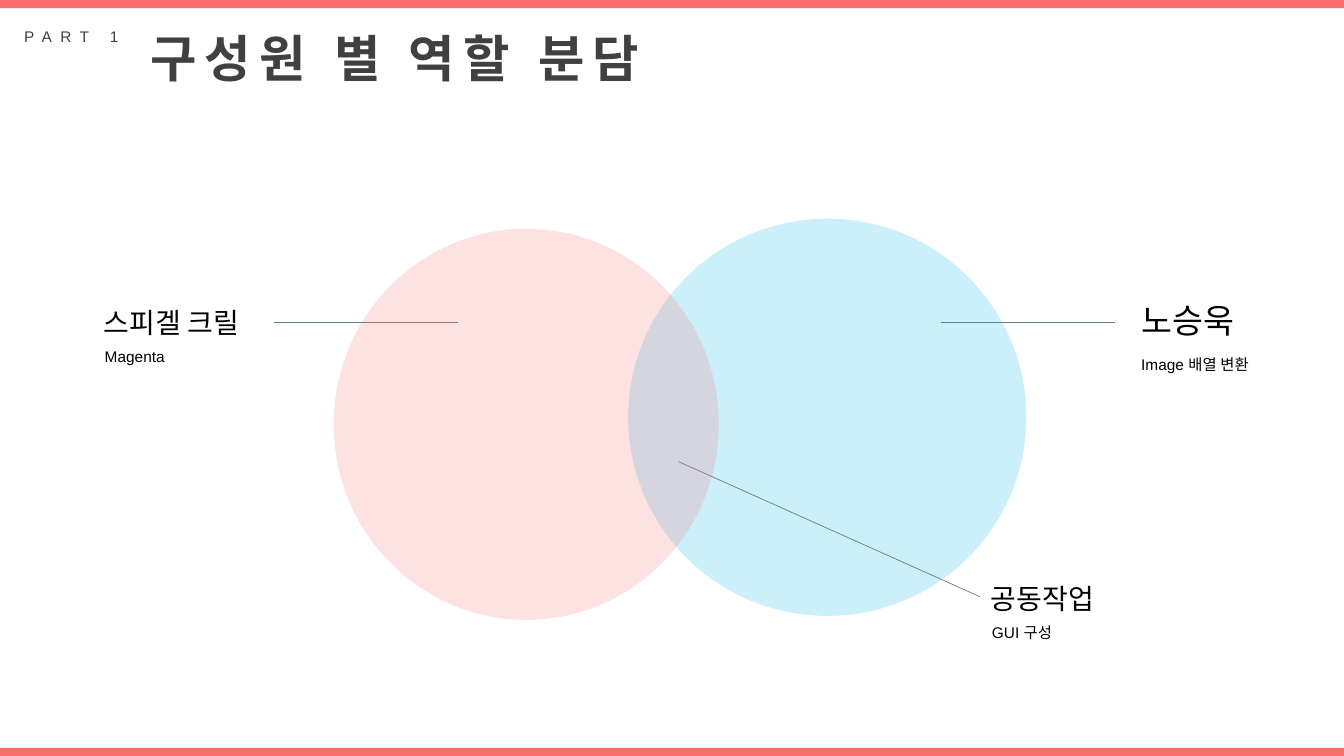
"""Build the slide that shows how the work is divided between the members."""
from dataclasses import dataclass

from lxml.etree import SubElement
from pptx import Presentation
from pptx.dml.color import RGBColor
from pptx.enum.shapes import MSO_CONNECTOR, MSO_SHAPE
from pptx.enum.text import MSO_ANCHOR, MSO_AUTO_SIZE, PP_ALIGN
from pptx.oxml.ns import qn
from pptx.shapes.autoshape import Shape
from pptx.slide import Slide
from pptx.util import Inches, Pt


@dataclass(frozen=True)
class Theme:
    font: str = "Arial"
    coral: RGBColor = RGBColor(0xF8, 0x6F, 0x6C)
    sky: RGBColor = RGBColor(0x00, 0xB0, 0xF0)
    heading: RGBColor = RGBColor(0x40, 0x40, 0x40)
    text: RGBColor = RGBColor(0x00, 0x00, 0x00)
    leader: RGBColor = RGBColor(0x68, 0x80, 0x84)
    title_size: int = 36
    name_size: int = 20
    large_name_size: int = 24
    small_size: int = 11
    spacing: int = 6
    leader_width: float = 0.5
    circle_alpha: int = 20


@dataclass(frozen=True)
class Box:
    left: float
    top: float
    width: float
    height: float

    def emu(self) -> tuple[int, int, int, int]:
        return (Inches(self.left), Inches(self.top),
                Inches(self.width), Inches(self.height))


@dataclass(frozen=True)
class Circle:
    box: Box
    color: RGBColor


@dataclass(frozen=True)
class Role:
    name: str
    task: str
    name_box: Box
    task_box: Box
    name_size: int
    leader: tuple[float, float, float, float]


THEME = Theme()
WIDTH, HEIGHT, BAR = 13.33, 7.5, 0.08

SKY_CIRCLE = Circle(Box(6.23, 2.17, 3.95, 3.94), THEME.sky)
CORAL_CIRCLE = Circle(Box(3.31, 2.27, 3.82, 3.88), THEME.coral)
ROLES = [
    Role("노승욱", "Image 배열 변환", Box(11.22, 2.93, 1.21, 0.5),
         Box(11.22, 3.47, 2.58, 0.29), THEME.large_name_size,
         (9.33, 3.2, 11.06, 3.2)),
    Role("스피겔 크릴", "Magenta", Box(0.93, 2.98, 1.68, 0.44),
         Box(0.94, 3.39, 2.13, 0.29), THEME.name_size,
         (2.72, 3.2, 4.54, 3.2)),
    Role("공동작업", "GUI 구성", Box(9.73, 5.72, 1.32, 0.44),
         Box(9.74, 6.13, 2.13, 0.29), THEME.name_size,
         (9.72, 5.92, 6.73, 4.58)),
]


def add_filled(s: Slide, kind: MSO_SHAPE, box: Box, color: RGBColor) -> Shape:
    sp = s.shapes.add_shape(kind, *box.emu())
    sp.shadow.inherit = False
    sp.fill.solid()
    sp.fill.fore_color.rgb = color
    sp.line.fill.background()
    return sp


def add_circle(s: Slide, circle: Circle) -> None:
    sp = add_filled(s, MSO_SHAPE.OVAL, circle.box, circle.color)
    color = sp.fill._xPr.find(qn("a:solidFill"))[0]
    SubElement(color, qn("a:alpha")).set("val", str(THEME.circle_alpha * 1000))


def write(sp: Shape, text: str, size: int, color: RGBColor = THEME.text,
          bold: bool = False, spacing: int = 0, wrap: bool = False) -> None:
    tf = sp.text_frame
    tf.text = text
    tf.word_wrap = wrap
    tf.auto_size = MSO_AUTO_SIZE.SHAPE_TO_FIT_TEXT
    tf.vertical_anchor = MSO_ANCHOR.TOP
    p = tf.paragraphs[0]
    p.alignment = PP_ALIGN.JUSTIFY if wrap else PP_ALIGN.LEFT
    p.font.name = THEME.font
    p.font.size = Pt(size)
    p.font.bold = bold
    p.font.color.rgb = color
    if spacing:
        p.runs[0].font._element.set("spc", str(spacing * 100))


def add_leader(s: Slide, ends: tuple[float, float, float, float]) -> None:
    line = s.shapes.add_connector(MSO_CONNECTOR.STRAIGHT, *map(Inches, ends))
    line.line.color.rgb = THEME.leader
    line.line.width = Pt(THEME.leader_width)
    SubElement(line._element.spPr, qn("a:effectLst"))


def add_role(s: Slide, role: Role) -> None:
    name = s.shapes.add_textbox(*role.name_box.emu())
    write(name, role.name, role.name_size)
    task = s.shapes.add_textbox(*role.task_box.emu())
    write(task, role.task, THEME.small_size, wrap=True)
    add_leader(s, role.leader)


def add_heading(s: Slide) -> None:
    title = s.shapes.title
    title.left, title.top, title.width, title.height = Box(1.39, 0.22, 5.59, 0.71).emu()
    write(title, "구성원 별 역할 분담", THEME.title_size, THEME.heading,
          bold=True, spacing=THEME.spacing)
    part = s.shapes.add_textbox(*Box(0.14, 0.22, 1.25, 0.29).emu())
    write(part, "PART 1", THEME.small_size, THEME.heading, spacing=THEME.spacing)


def main() -> None:
    prs = Presentation()
    prs.slide_width, prs.slide_height = Inches(WIDTH), Inches(HEIGHT)
    s = prs.slides.add_slide(prs.slide_layouts[5])
    for top in (0, HEIGHT - BAR):
        add_filled(s, MSO_SHAPE.RECTANGLE, Box(0, top, WIDTH, BAR), THEME.coral)
    add_heading(s)
    add_circle(s, SKY_CIRCLE)
    for role in ROLES:
        add_role(s, role)
    add_circle(s, CORAL_CIRCLE)
    prs.save("out.pptx")


main()
